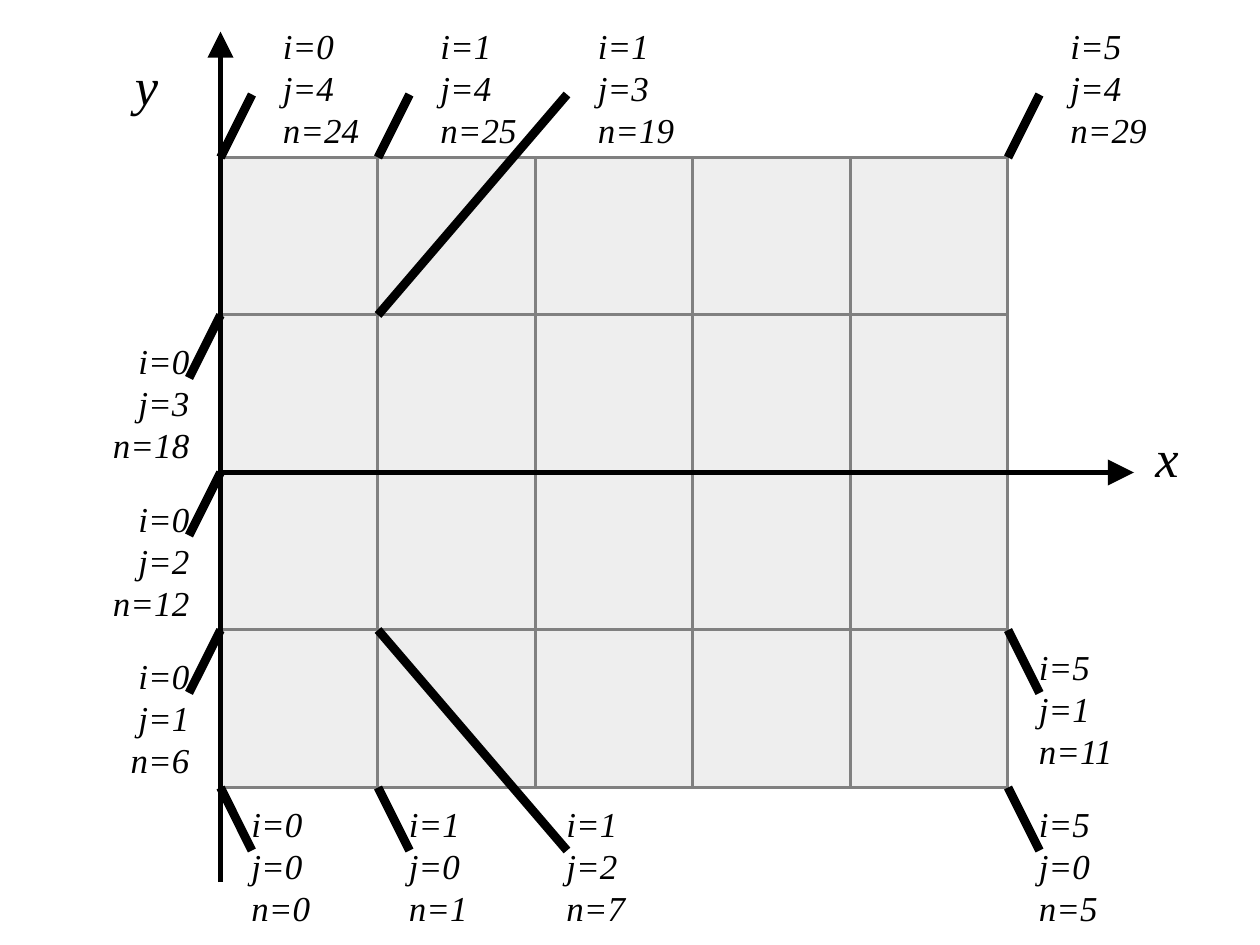
from lxml.etree import SubElement
from pptx import Presentation
from pptx.dml.color import RGBColor
from pptx.enum.shapes import MSO_CONNECTOR, MSO_SHAPE
from pptx.enum.text import MSO_AUTO_SIZE, PP_ALIGN
from pptx.oxml.ns import qn
from pptx.util import Inches, Pt

COLUMNS, ROWS, CELL = 5, 4, 0.5
GRID_LEFT, GRID_TOP = 0.7, 0.5
GRID_BOTTOM = GRID_TOP + ROWS * CELL
FONT = {"name": "Times New Roman", "italic": True}

presentation = Presentation()
presentation.slide_width = Inches(4)
presentation.slide_height = Inches(3)
slide = presentation.slides.add_slide(presentation.slide_layouts[6])


def add_line(start, end, width, arrow=False):
    points = [Inches(value) for value in (*start, *end)]
    connector = slide.shapes.add_connector(MSO_CONNECTOR.STRAIGHT, *points)
    connector.line.color.rgb = RGBColor.from_string("000000")
    connector.line.width = Pt(width)
    if arrow:
        SubElement(connector.line._ln, qn("a:tailEnd"), type="triangle")
    SubElement(connector._element.spPr, qn("a:effectLst"))


def add_text(lines, box, size, align=PP_ALIGN.LEFT, wrap=True):
    shape = slide.shapes.add_textbox(*[Inches(value) for value in box])
    frame = shape.text_frame
    frame.word_wrap = wrap
    frame.auto_size = MSO_AUTO_SIZE.SHAPE_TO_FIT_TEXT
    frame.text = "\n".join(lines)
    for paragraph in frame.paragraphs:
        paragraph.alignment = align
        for run in paragraph.runs:
            for name, value in {**FONT, "size": Pt(size)}.items():
                setattr(run.font, name, value)
            run.font.color.rgb = RGBColor.from_string("000000")


# Grid cells
for row in range(ROWS):
    for column in range(COLUMNS):
        cell = slide.shapes.add_shape(
            MSO_SHAPE.RECTANGLE,
            Inches(GRID_LEFT + column * CELL), Inches(GRID_TOP + row * CELL),
            Inches(CELL), Inches(CELL))
        cell.shadow.inherit = False
        cell.fill.solid()
        cell.fill.fore_color.rgb = RGBColor.from_string("EEEEEE")
        cell.line.color.rgb = RGBColor.from_string("808080")
        cell.line.width = Pt(0)

# Axes
add_line((GRID_LEFT, 1.5), (3.6, 1.5), 1, arrow=True)
add_line((GRID_LEFT, 2.8), (GRID_LEFT, 0.1), 1, arrow=True)
add_text(["x"], (3.57, 1.3, 0.27, 0.28), 12, wrap=False)
add_text(["y"], (0.33, 0.12, 0.27, 0.28), 12, wrap=False)

# Leader end measured from the label's corner, and text alignment, by side
SIDES = {
    "above": (0, 0.27, PP_ALIGN.LEFT),
    "left": (0.4, 0.17, PP_ALIGN.RIGHT),
    "below": (0.1, 0.2, PP_ALIGN.LEFT),
}

# Node labels: i, j, n, side, left, top
LABELS = [
    (0, 0, 0, "below", 0.7, 2.5),
    (1, 0, 1, "below", 1.2, 2.5),
    (1, 2, 7, "below", 1.7, 2.5),
    (5, 0, 5, "below", 3.2, 2.5),
    (5, 1, 11, "below", 3.2, 2),
    (0, 1, 6, "left", 0.2, 2.03),
    (0, 2, 12, "left", 0.2, 1.53),
    (0, 3, 18, "left", 0.2, 1.03),
    (0, 4, 24, "above", 0.8, 0.03),
    (1, 4, 25, "above", 1.3, 0.03),
    (1, 3, 19, "above", 1.8, 0.03),
    (5, 4, 29, "above", 3.3, 0.03),
]
for i, j, n, side, left, top in LABELS:
    across, down, align = SIDES[side]
    add_text([f"i={i}", f"j={j}", f"n={n}"], (left, top, 0.5, 0.47), 8, align)
    # The node number gives the grid point where the leader starts
    node_row, node_column = divmod(n, COLUMNS + 1)
    node = (GRID_LEFT + node_column * CELL, GRID_BOTTOM - node_row * CELL)
    add_line(node, (left + across, top + down), 0)

presentation.save("out.pptx")
